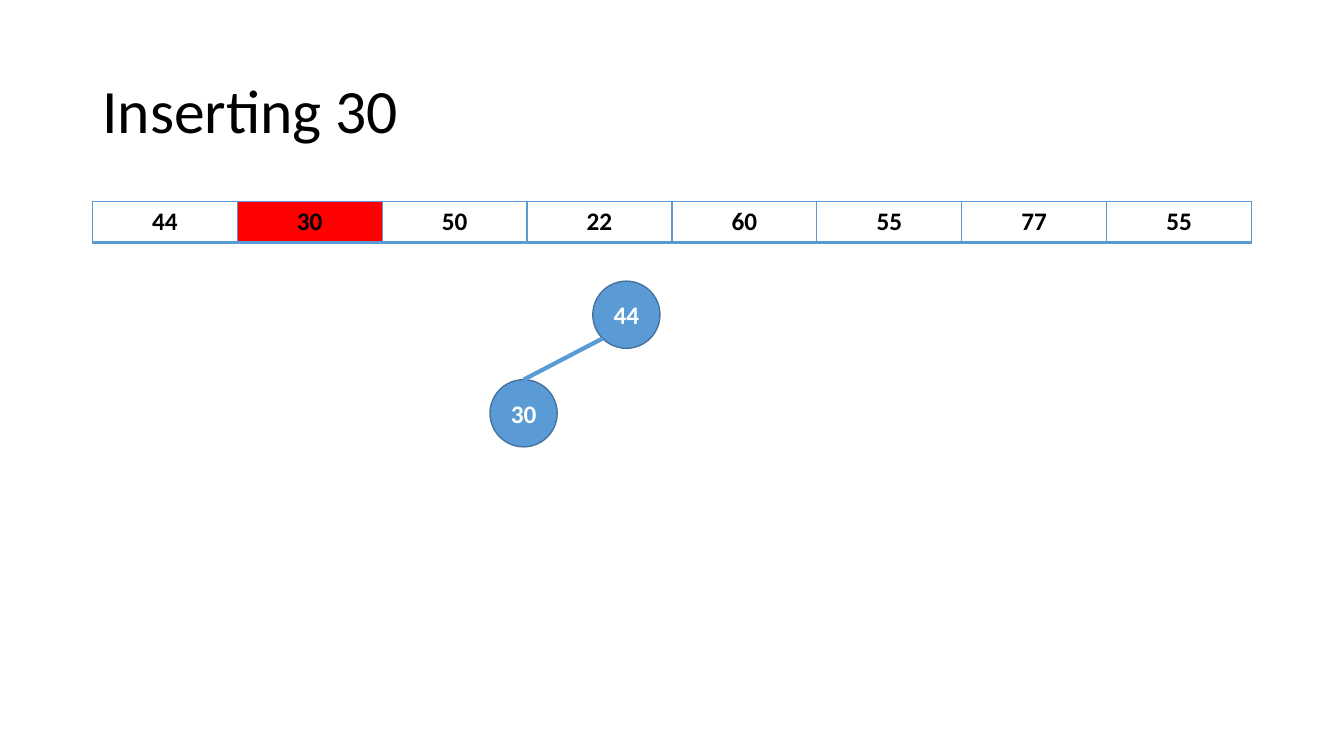
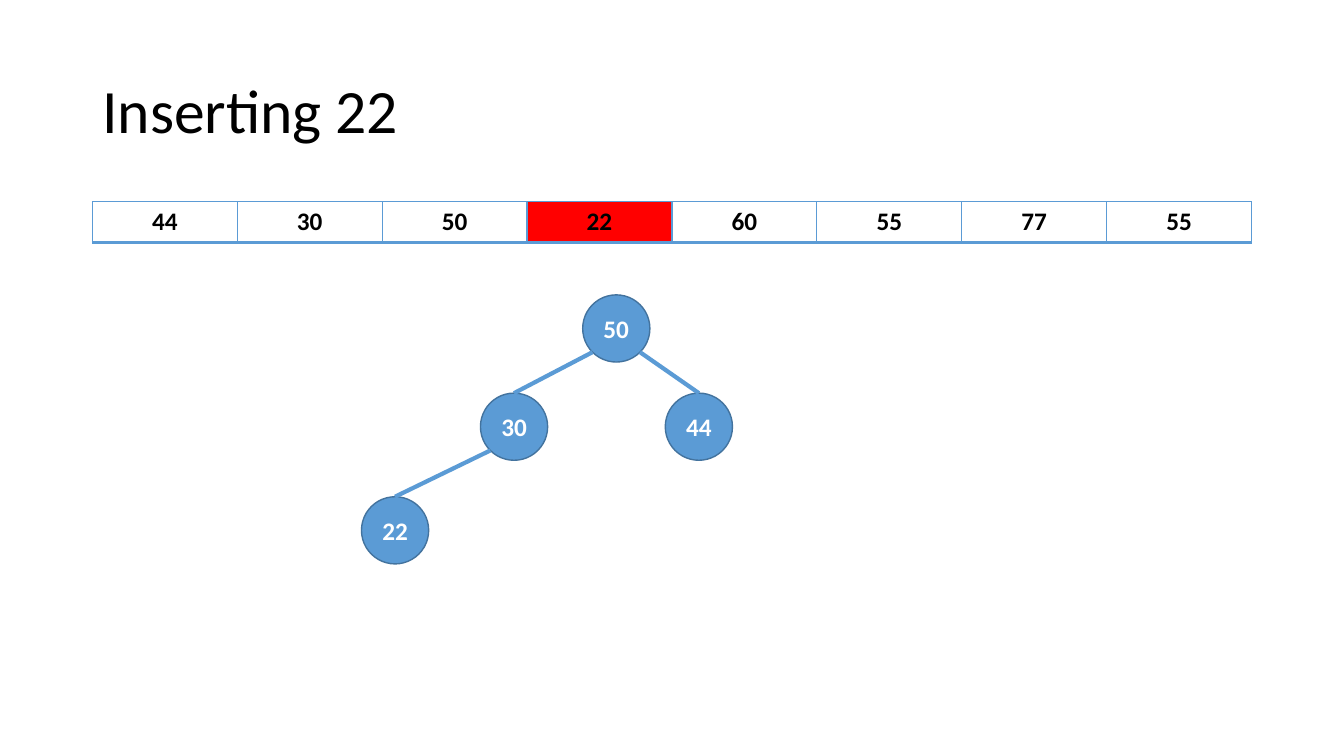
from math import sqrt

from lxml.etree import SubElement
from pptx import Presentation
from pptx.dml.color import RGBColor
from pptx.enum.shapes import MSO_CONNECTOR as Connector, MSO_SHAPE as Shape
from pptx.enum.text import MSO_ANCHOR as Anchor, PP_ALIGN as Align
from pptx.oxml.ns import qn
from pptx.util import Pt

BLACK = RGBColor(0x00, 0x00, 0x00)
WHITE = RGBColor(0xFF, 0xFF, 0xFF)
RED = RGBColor(0xFF, 0x00, 0x00)
BLUE = RGBColor(0x5B, 0x9B, 0xD5)
DARK_BLUE = RGBColor(0x43, 0x73, 0x9E)

FONT = "Calibri"
SLIDE_SIZE = (960, 540)
TITLE_BOX = (66, 28.8, 828, 104.4)
ARRAY_BOX = (66, 144, 828, 29.2)
ARRAY_VALUES = (44, 30, 50, 22, 60, 55, 77, 55)
BORDER_WIDTHS = {"a:lnL": 1, "a:lnR": 1, "a:lnT": 1, "a:lnB": 2}
NODE_SIZE = 48

STEPS = [
    {
        "array_index": 1,
        "root": (423.4, 200.8),
        "tree": [(44, None, 0, 0), (30, 44, -73.4, 70.4)],
    },
    {
        "array_index": 3,
        "root": (416.2, 210.6),
        "tree": [
            (50, None, 0, 0),
            (30, 50, -73, 70.2),
            (44, 50, 59, 70.2),
            (22, 30, -85, 74),
        ],
    },
]


def style_text(text_frame, size, color, bold=False, align=None):
    """Format the single paragraph of a text frame."""
    paragraph = text_frame.paragraphs[0]
    paragraph.alignment = align
    font = paragraph.runs[0].font
    font.name, font.size, font.bold = FONT, Pt(size), bold
    font.color.rgb = color


def add_title(slide, text, box):
    """Add the slide title, vertically centred in its box."""
    text_frame = slide.shapes.add_textbox(*map(Pt, box)).text_frame
    text_frame.word_wrap = True
    text_frame.vertical_anchor = Anchor.MIDDLE
    text_frame.text = text
    text_frame.paragraphs[0].line_spacing = 0.9
    style_text(text_frame, 44, BLACK)


def add_borders(cell):
    """Draw the four borders of a table cell."""
    properties = cell._tc.get_or_add_tcPr()
    for tag, width in BORDER_WIDTHS.items():
        line = SubElement(properties, qn(tag), w=str(Pt(width)))
        fill = SubElement(line, qn("a:solidFill"))
        SubElement(fill, qn("a:srgbClr"), val=str(BLUE))


def add_array(slide, box, current):
    """Add the input array as a one-row table with the current cell in red."""
    table = slide.shapes.add_table(1, len(ARRAY_VALUES), *map(Pt, box)).table
    table.first_row = table.horz_banding = False
    for index, value in enumerate(ARRAY_VALUES):
        table.columns[index].width = Pt(box[2] / len(ARRAY_VALUES))
        cell = table.cell(0, index)
        cell.text_frame.text = str(value)
        style_text(cell.text_frame, 18, BLACK, True, Align.CENTER)
        add_borders(cell)
        if index == current:
            cell.fill.solid()
            cell.fill.fore_color.rgb = RED
        else:
            cell.fill.background()


def add_node(slide, value, left, top):
    """Add one tree node as a labelled circle."""
    node = slide.shapes.add_shape(
        Shape.OVAL, Pt(left), Pt(top), Pt(NODE_SIZE), Pt(NODE_SIZE)
    )
    node.shadow.inherit = False
    node.fill.solid()
    node.fill.fore_color.rgb = BLUE
    node.line.color.rgb = DARK_BLUE
    node.line.width = Pt(1)
    node.text_frame.vertical_anchor = Anchor.MIDDLE
    node.text_frame.text = str(value)
    style_text(node.text_frame, 18, WHITE, True, Align.CENTER)


def add_edge(slide, parent, child):
    """Join the lower diagonal of the parent circle to the top of the child."""
    radius = NODE_SIZE / 2
    diagonal = radius / sqrt(2)
    side = -1 if child[0] < parent[0] else 1
    start = (parent[0] + radius + side * diagonal, parent[1] + radius + diagonal)
    end = (child[0] + radius, child[1])
    edge = slide.shapes.add_connector(Connector.STRAIGHT, *map(Pt, start + end))
    edge.line.color.rgb = BLUE
    edge.line.width = Pt(3)
    SubElement(edge._element.spPr, qn("a:effectLst"))


def add_tree(slide, root, tree):
    """Add nodes offset from their parents, starting at the root position."""
    positions = {None: root}
    for value, parent, across, down in tree:
        left, top = positions[parent]
        positions[value] = (left + across, top + down)
        add_node(slide, value, *positions[value])
        if parent is not None:
            add_edge(slide, positions[parent], positions[value])


def add_step(presentation, array_index, root, tree):
    """Add the slide for one insertion step."""
    slide = presentation.slides.add_slide(presentation.slide_layouts[6])
    add_title(slide, f"Inserting {ARRAY_VALUES[array_index]}", TITLE_BOX)
    add_array(slide, ARRAY_BOX, array_index)
    add_tree(slide, root, tree)


def main():
    """Build and save the presentation."""
    presentation = Presentation()
    presentation.slide_width, presentation.slide_height = map(Pt, SLIDE_SIZE)
    for step in STEPS:
        add_step(presentation, **step)
    presentation.save("out.pptx")


if __name__ == "__main__":
    main()
